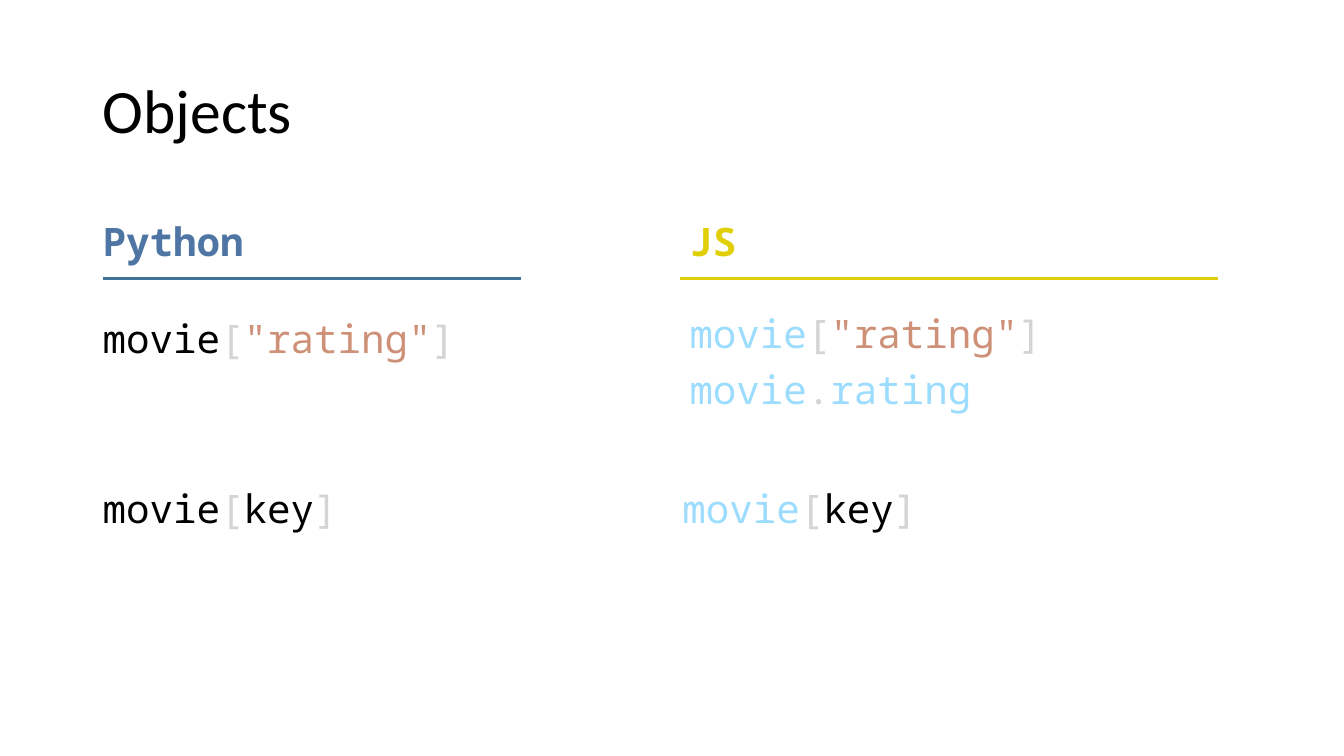
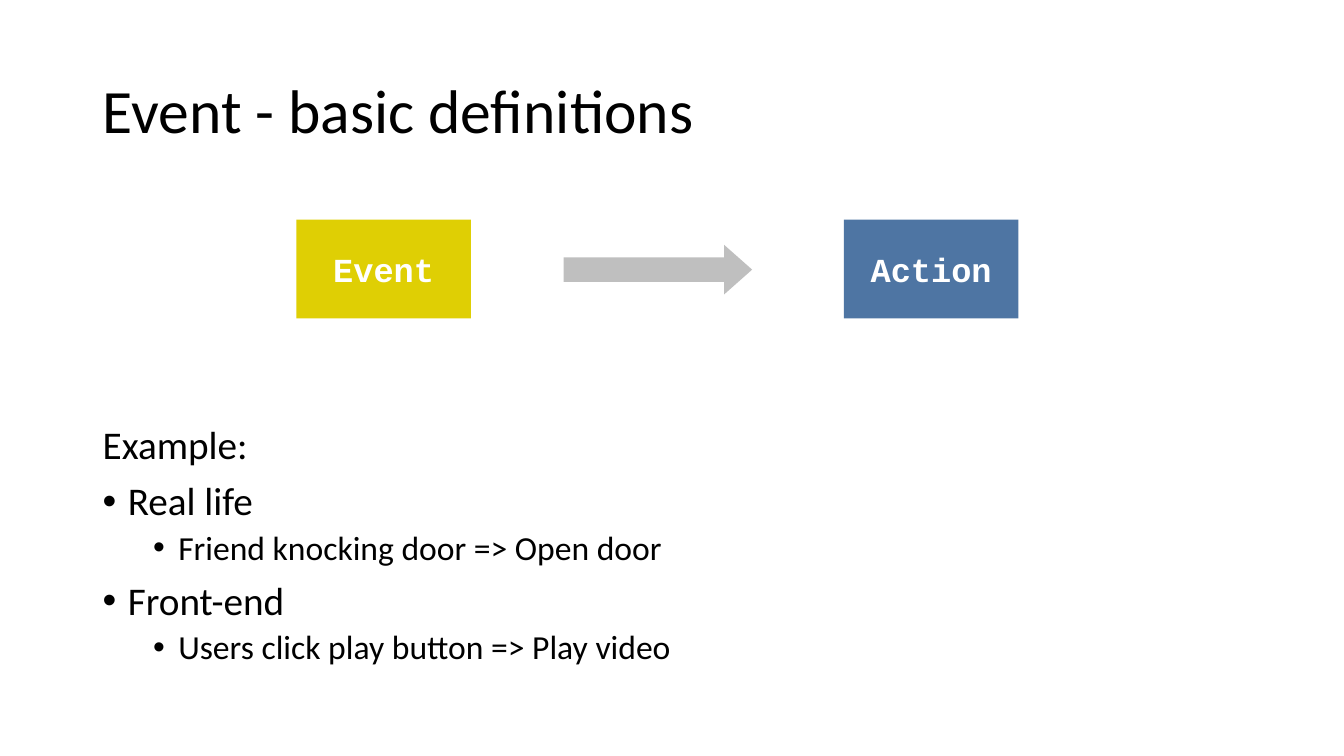
"""Build two slides: object access in Python and JS, and event basics."""
from dataclasses import dataclass

from lxml import etree
from pptx import Presentation
from pptx.dml.color import RGBColor
from pptx.enum.shapes import MSO_CONNECTOR, MSO_SHAPE
from pptx.enum.text import MSO_ANCHOR, MSO_AUTO_SIZE, PP_ALIGN
from pptx.oxml.ns import qn
from pptx.util import Inches, Pt

LINE = MSO_CONNECTOR.STRAIGHT
RECT, ARROW = MSO_SHAPE.RECTANGLE, MSO_SHAPE.RIGHT_ARROW
MIDDLE, TOP = MSO_ANCHOR.MIDDLE, MSO_ANCHOR.TOP
FIT = MSO_AUTO_SIZE.SHAPE_TO_FIT_TEXT
LEFT, CENTER = PP_ALIGN.LEFT, PP_ALIGN.CENTER

BODY, CODE, LABEL = "Calibri", "Noto Sans Mono", "Courier New"
COLORS = {
    "black": "000000", "white": "FFFFFF", "blue": "4E75A3", "teal": "40749B",
    "yellow": "DFCF04", "gray": "BFBFBF", "mark": "D4D4D4",
    "string": "CE9178", "name": "9CDCFE",
}
MARGIN, WIDTH = 0.92, 11.5

Box = tuple[float, float, float, float]
Token = tuple[str, str]


@dataclass
class Header:
    text: str
    color: str
    left: float
    rule: str
    start: float
    end: float


@dataclass
class Code:
    box: Box
    lines: list[list[Token]]


@dataclass
class Block:
    shape: int
    box: Box
    color: str
    text: str = ""


@dataclass
class Item:
    text: str
    level: int = 0
    bullet: bool = True


def get_color(name: str) -> RGBColor:
    return RGBColor.from_string(COLORS[name])


def set_font(target, face: str, size: float, color: str | None = None, bold: bool = False) -> None:
    font = target.font
    font.name, font.size, font.bold = face, Pt(size), bold
    if color:
        font.color.rgb = get_color(color)


def set_space(para, before: float) -> None:
    para.line_spacing = 0.9
    para.space_before = Pt(before)


def add_slide(deck, title: str):
    slide = deck.slides.add_slide(deck.slide_layouts.get_by_name("Title Only"))
    shape = slide.shapes.title
    shape.left, shape.top = Inches(MARGIN), Inches(0.4)
    shape.width, shape.height = Inches(WIDTH), Inches(1.45)
    frame = shape.text_frame
    frame.text = title
    frame.vertical_anchor = MIDDLE
    para = frame.paragraphs[0]
    para.alignment = LEFT
    para.line_spacing = 0.9
    set_font(para, BODY, 44, "black")
    return slide


def add_frame(slide, box: Box):
    frame = slide.shapes.add_textbox(*map(Inches, box)).text_frame
    frame.word_wrap = True
    frame.vertical_anchor = TOP
    return frame


def next_para(frame, index: int):
    return frame.add_paragraph() if index else frame.paragraphs[0]


def draw_header(slide, header: Header) -> None:
    frame = add_frame(slide, (header.left, 2.11, 1.82, 0.57))
    frame.auto_size = FIT
    frame.text = header.text
    set_font(frame.paragraphs[0], CODE, 28, header.color, True)
    ends = (header.start, 2.76, header.end, 2.76)
    rule = slide.shapes.add_connector(LINE, *map(Inches, ends))
    rule.line.color.rgb = get_color(header.rule)
    rule.line.width = Pt(2.25)
    etree.SubElement(rule._element.spPr, qn("a:effectLst"))


def draw_code(slide, code: Code) -> None:
    frame = add_frame(slide, code.box)
    for index, line in enumerate(code.lines):
        para = next_para(frame, index)
        set_space(para, 10)
        set_font(para, CODE, 28)
        for text, color in line:
            run = para.add_run()
            run.text = text
            run.font.color.rgb = get_color(color)


def draw_block(slide, block: Block) -> None:
    shape = slide.shapes.add_shape(block.shape, *map(Inches, block.box))
    shape.shadow.inherit = False
    shape.fill.solid()
    shape.fill.fore_color.rgb = get_color(block.color)
    shape.line.fill.background()
    if block.shape == ARROW:
        shape.adjustments[1] = 0.565
    if block.text:
        frame = shape.text_frame
        frame.text = block.text
        frame.vertical_anchor = MIDDLE
        frame.paragraphs[0].alignment = CENTER
        set_font(frame.paragraphs[0], LABEL, 24, "white", True)


def draw_list(slide, box: Box, items: list[Item]) -> None:
    frame = add_frame(slide, box)
    for index, item in enumerate(items):
        para = next_para(frame, index)
        para.text = item.text
        para.level = item.level
        set_space(para, 5 if item.level else 10)
        set_font(para, BODY, 24 if item.level else 28, "black")
        if item.bullet:
            props = para._p.get_or_add_pPr()
            props.set("marL", str(Inches(0.25 + 0.5 * item.level)))
            props.set("indent", str(Inches(-0.25)))
            face = etree.Element(qn("a:buFont"), typeface="Arial")
            mark = etree.Element(qn("a:buChar"), char="•")
            run = props.find(qn("a:defRPr"))
            run.addprevious(face)
            run.addprevious(mark)


def index_with(name: str, key: Token) -> list[Token]:
    return [("movie", name), ("[", "mark"), key, ("]", "mark")]


RATING, KEY = ('"rating"', "string"), ("key", "black")
DOTTED = [("movie", "name"), (".", "mark"), ("rating", "name")]

HEADERS = [
    Header("Python", "blue", MARGIN, "teal", 1.02, 5.17),
    Header("JS", "yellow", 6.74, "yellow", 6.74, 12.08),
]
CODES = [
    Code((MARGIN, 3.12, 5.31, 1.25), [index_with("black", RATING)]),
    Code((6.74, 3.07, 5.52, 1.3), [index_with("name", RATING), DOTTED]),
    Code((MARGIN, 4.81, 5.31, 1.25), [index_with("black", KEY)]),
    Code((6.67, 4.81, 5.52, 1.3), [index_with("name", KEY)]),
]
BLOCKS = [
    Block(RECT, (2.94, 2.18, 1.73, 0.98), "yellow", "Event"),
    Block(RECT, (8.37, 2.18, 1.73, 0.98), "blue", "Action"),
    Block(ARROW, (5.59, 2.43, 1.87, 0.49), "gray"),
]
ITEMS = [
    Item("Example:", bullet=False),
    Item("Real life"),
    Item("Friend knocking door => Open door", 1),
    Item("Front-end"),
    Item("Users click play button => Play video", 1),
]


def main() -> None:
    deck = Presentation()
    deck.slide_width, deck.slide_height = Inches(13.33), Inches(7.5)

    slide = add_slide(deck, "Objects")
    for header in HEADERS:
        draw_header(slide, header)
    for code in CODES:
        draw_code(slide, code)

    slide = add_slide(deck, "Event - basic definitions")
    for block in BLOCKS:
        draw_block(slide, block)
    draw_list(slide, (MARGIN, 4.17, WIDTH, 2.58), ITEMS)

    deck.save("out.pptx")


main()
